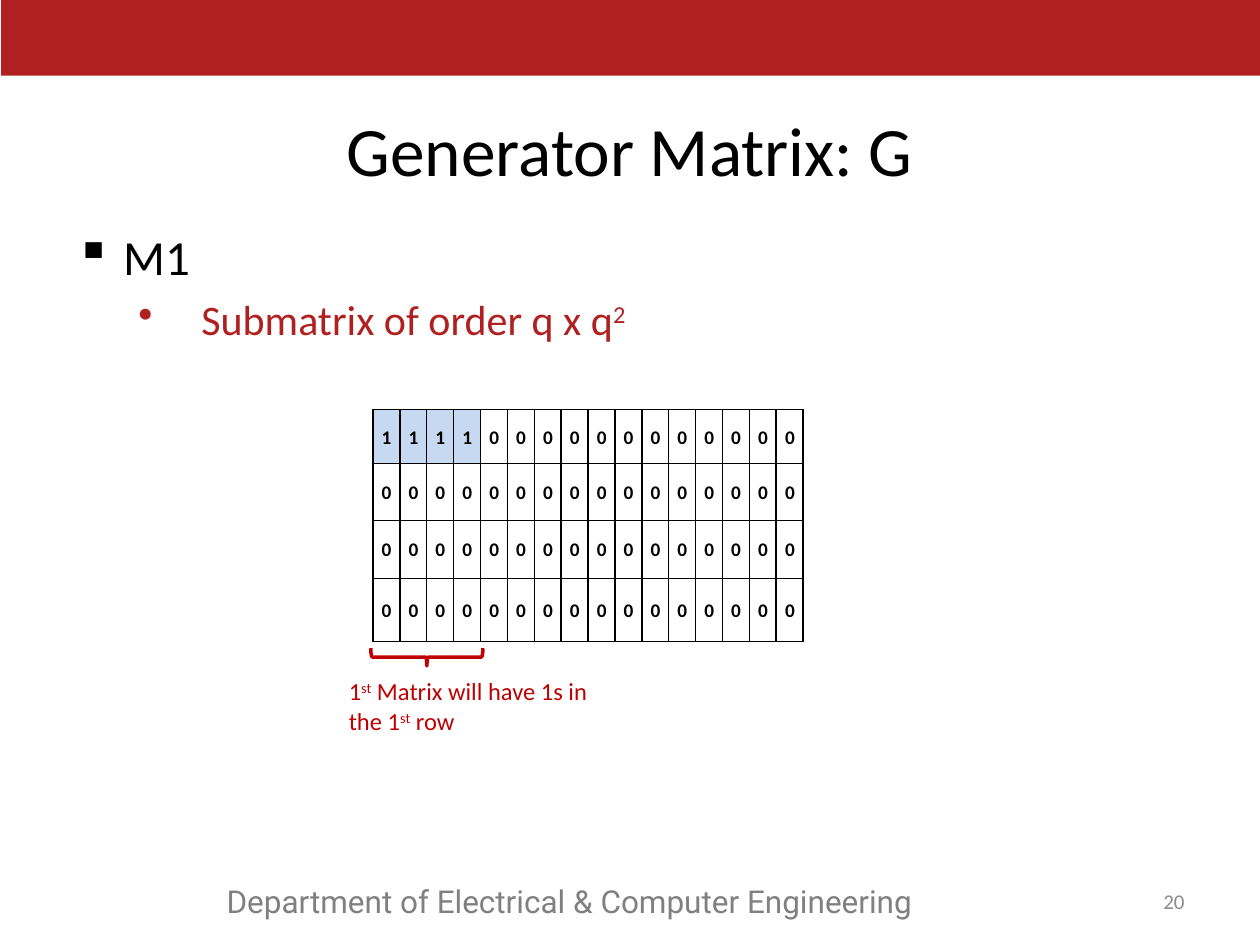
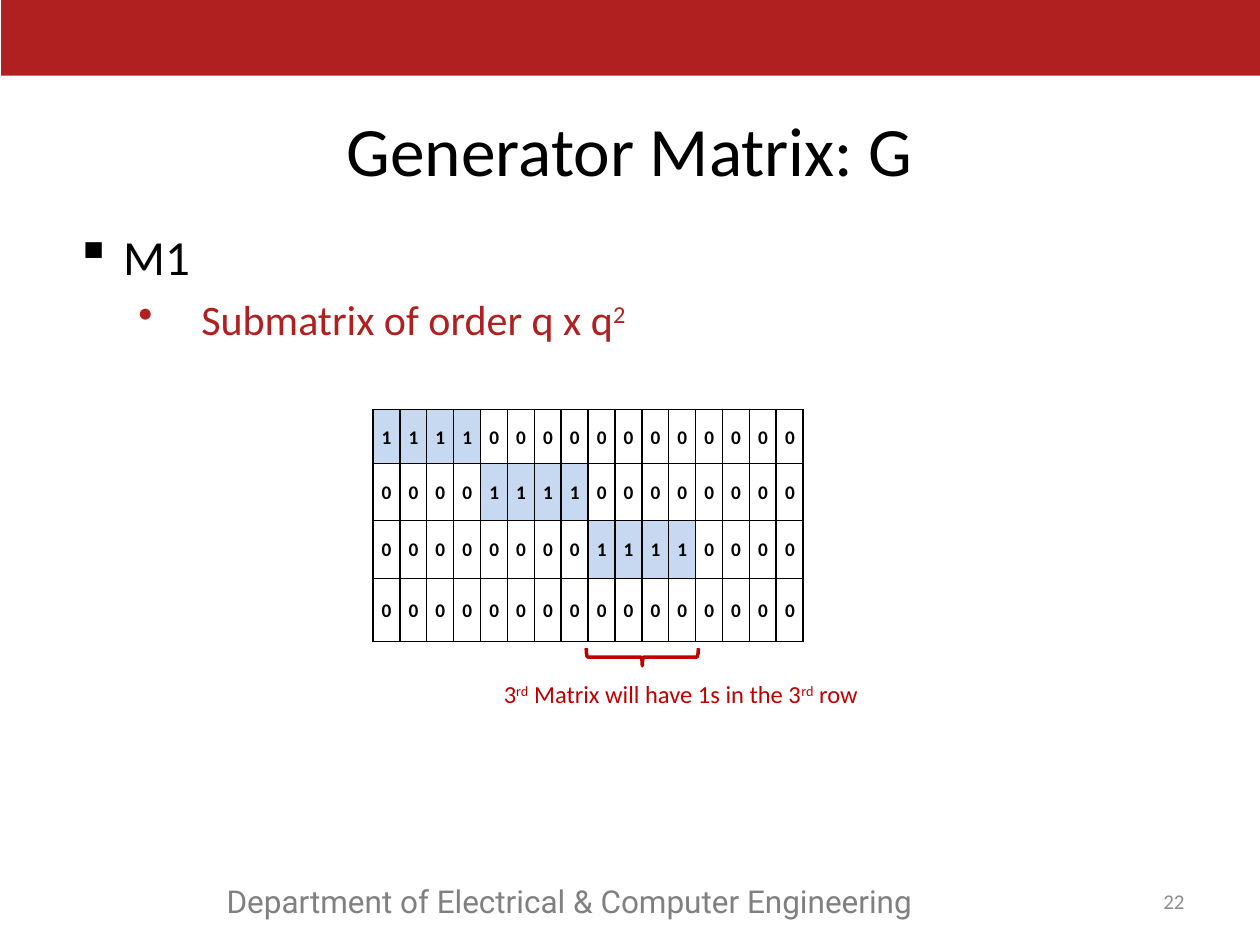
from lxml.etree import SubElement
from pptx import Presentation
from pptx.dml.color import RGBColor
from pptx.enum.shapes import MSO_SHAPE as Shape
from pptx.enum.text import MSO_ANCHOR as Anchor, MSO_AUTO_SIZE as AutoSize, PP_ALIGN as Align
from pptx.oxml import parse_xml
from pptx.oxml.ns import nsdecls, qn
from pptx.util import Inches, Pt

# Grid: 100 columns by 75 rows
COLUMNS, ROWS = 100, 75

# Submatrix: Q rows, and Q blocks of Q columns
Q = 4
ROW_HEIGHTS = [4.3, 4.5, 4.6, 5.0]
MATRIX_LEFT, MATRIX_TOP, MATRIX_WIDTH = 29.6, 32.5, 34.2
BLOCK_WIDTH = MATRIX_WIDTH / Q


def color(hex_code):
    return RGBColor.from_string(hex_code)


class Deck:
    RED, DARK_RED, BLUE = "B12020", "C00000", "C6D9F1"
    BLACK, GRAY, LIGHT_GRAY = "000000", "808080", "8C8C8C"
    FONT, FOOTER_FONT = "Calibri", "Roboto"

    def __init__(self):
        self.prs = Presentation()
        self.prs.slide_width, self.prs.slide_height = Inches(10), Inches(7.5)
        self.slide = None

    def x(self, columns):
        return round(self.prs.slide_width * columns / COLUMNS)

    def y(self, rows):
        return round(self.prs.slide_height * rows / ROWS)

    def box(self, left, top, width, height):
        return self.x(left), self.y(top), self.x(width), self.y(height)

    def style(self, font, size, hex_code, face=FONT, bold=False):
        font.size, font.name, font.bold = Pt(size), face, bold
        font.color.rgb = color(hex_code)

    def add_runs(self, paragraph, text, size, hex_code, face=FONT):
        """Fill a paragraph; parts between ^ marks are raised."""
        for i, part in enumerate(text.split("^")):
            if part:
                run = paragraph.add_run()
                run.text = part
                self.style(run.font, size, hex_code, face)
                if i % 2:
                    run._r.get_or_add_rPr().set("baseline", "30000")

    def new_slide(self, title, number):
        self.slide = self.prs.slides.add_slide(self.prs.slide_layouts[5])
        self.shape(Shape.RECTANGLE, (0.1, 0, 100, 6), fill=self.RED)
        self.title(title)
        self.text((17, 69.5, 57.7, 4), "Department of Electrical & Computer Engineering",
                  18, self.GRAY, face=self.FOOTER_FONT)
        self.text((89.1, 69.5, 5.9, 4), str(number), 12, self.LIGHT_GRAY,
                  align=Align.RIGHT, anchor=Anchor.MIDDLE)

    def title(self, text):
        heading = self.slide.shapes.title
        heading.left, heading.top, heading.width, heading.height = self.box(5, 8.1, 90, 7.4)
        frame = heading.text_frame
        frame.text = text
        frame.auto_size, frame.vertical_anchor = AutoSize.NONE, Anchor.MIDDLE
        frame.paragraphs[0].alignment = Align.CENTER
        self.style(frame.paragraphs[0].runs[0].font, 39.6, self.BLACK)

    def shape(self, kind, area, fill=None, line=None, rotation=0):
        item = self.slide.shapes.add_shape(kind, *self.box(*area))
        item.shadow.inherit = False
        item.rotation = rotation
        if fill:
            item.fill.solid()
            item.fill.fore_color.rgb = color(fill)
        else:
            item.fill.background()
        if line:
            item.line.color.rgb, item.line.width = color(line), Pt(2)
        else:
            item.line.fill.background()

    def frame(self, area, anchor=Anchor.TOP):
        frame = self.slide.shapes.add_textbox(*self.box(*area)).text_frame
        frame.word_wrap, frame.vertical_anchor = True, anchor
        return frame

    def text(self, area, text, size, hex_code, face=FONT, align=Align.LEFT, anchor=Anchor.TOP):
        paragraph = self.frame(area, anchor).paragraphs[0]
        paragraph.alignment = align
        self.add_runs(paragraph, text, size, hex_code, face)

    def bullets(self, area, items):
        """Each item: text, size, colour, bullet, level, left margin, hanging indent."""
        frame = self.frame(area)
        for i, (text, size, hex_code, mark, level, margin, hang) in enumerate(items):
            paragraph = frame.add_paragraph() if i else frame.paragraphs[0]
            paragraph.level = level
            properties = paragraph._p.get_or_add_pPr()
            properties.set("marL", str(self.x(margin)))
            properties.set("indent", str(-self.x(hang)))
            SubElement(properties, qn("a:buChar")).set("char", mark)
            if i:
                paragraph.space_before = Pt(0.2 * size)
            self.add_runs(paragraph, text, size, hex_code)

    def matrix(self, filled_blocks):
        """Draw the submatrix; row k holds ones in block k for the filled blocks."""
        area = MATRIX_LEFT, MATRIX_TOP, MATRIX_WIDTH, sum(ROW_HEIGHTS)
        table = self.slide.shapes.add_table(Q, Q * Q, *self.box(*area)).table
        table.first_row = table.horz_banding = False
        for column in table.columns:
            column.width = self.x(BLOCK_WIDTH / Q)
        for i, height in enumerate(ROW_HEIGHTS):
            table.rows[i].height = self.y(height)
            for j in range(Q * Q):
                self.entry(table.cell(i, j), i < filled_blocks and j // Q == i)

    def entry(self, cell, is_one):
        cell.margin_left = cell.margin_right = self.x(0.7)
        cell.margin_top = cell.margin_bottom = 0
        cell.vertical_anchor = Anchor.MIDDLE
        cell.text = "1" if is_one else "0"
        paragraph = cell.text_frame.paragraphs[0]
        paragraph.alignment, paragraph.line_spacing = Align.CENTER, 1.07
        self.style(paragraph.runs[0].font, 11, self.BLACK, bold=True)
        if is_one:
            cell.fill.solid()
            cell.fill.fore_color.rgb = color(self.BLUE)
        else:
            cell.fill.background()
        # Borders come before the fill
        for i, side in enumerate("LRTB"):
            cell._tc.get_or_add_tcPr().insert(i, parse_xml(
                f'<a:ln{side} {nsdecls("a")} w="{Pt(1)}"><a:solidFill>'
                f'<a:srgbClr val="{self.BLACK}"/></a:solidFill></a:ln{side}>'))

    def block_brace(self, block):
        """Bracket the given block from below, with a brace turned by 90 degrees."""
        thickness, span, middle = 1.4, 8.9, 52.15
        center = MATRIX_LEFT + (block - 0.5) * BLOCK_WIDTH
        self.shape(Shape.RIGHT_BRACE,
                   (center - thickness / 2, middle - span / 2, thickness, span),
                   line=self.DARK_RED, rotation=90)


def main():
    deck = Deck()
    # Slide number, current block, ordinal ending, caption area
    steps = [(20, 1, "st", (26.7, 53.2, 21.6, 5.7)),
             (22, 3, "rd", (39, 53.4, 35.3, 3.4))]
    for number, block, ending, caption_area in steps:
        deck.new_slide("Generator Matrix: G", number)
        deck.bullets((5, 17.5, 90, 49.5), [
            ("M1", 28, deck.BLACK, "▪", 0, 3.8, 3.8),
            ("Submatrix of order q x q^2^", 24, deck.RED, "•", 1, 10, 5)])
        deck.matrix(block)
        deck.block_brace(block)
        ordinal = f"{block}^{ending}^"
        deck.text(caption_area, f"{ordinal} Matrix will have 1s in the {ordinal} row",
                  14, deck.DARK_RED)
    deck.prs.save("out.pptx")


if __name__ == "__main__":
    main()
